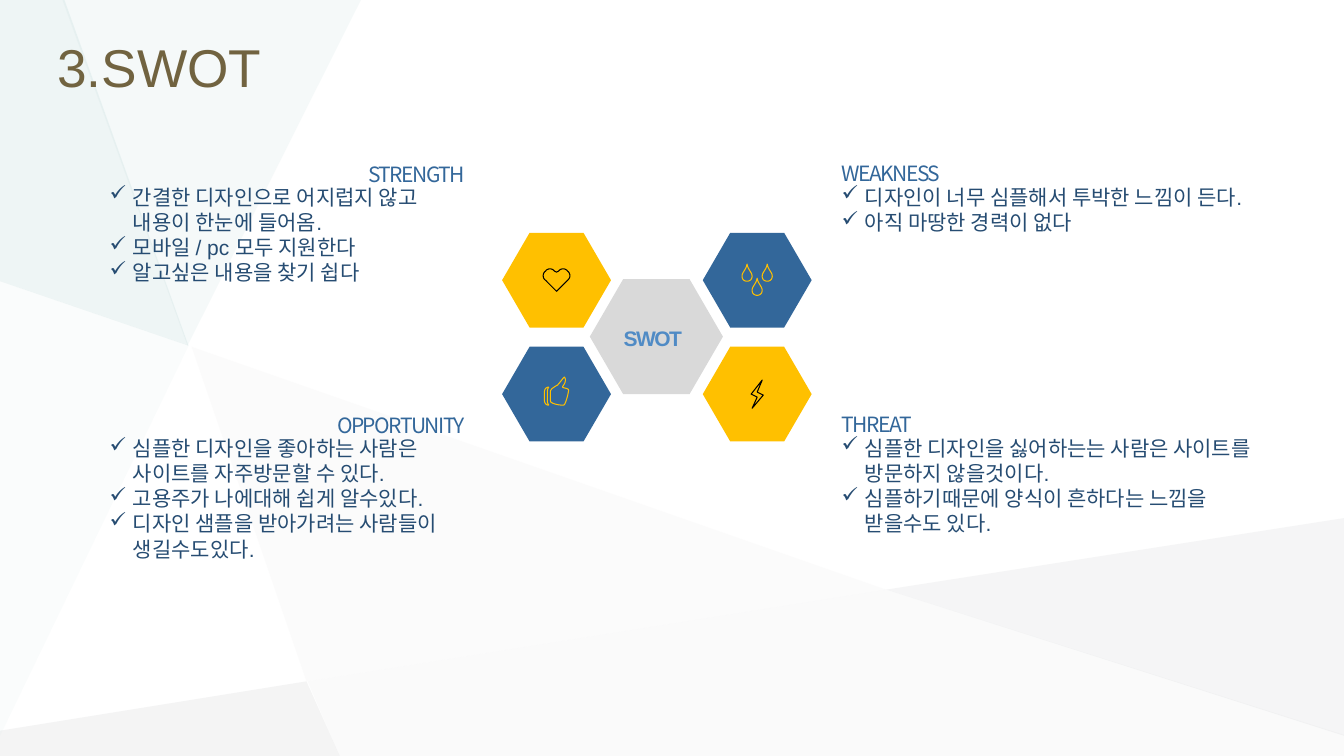
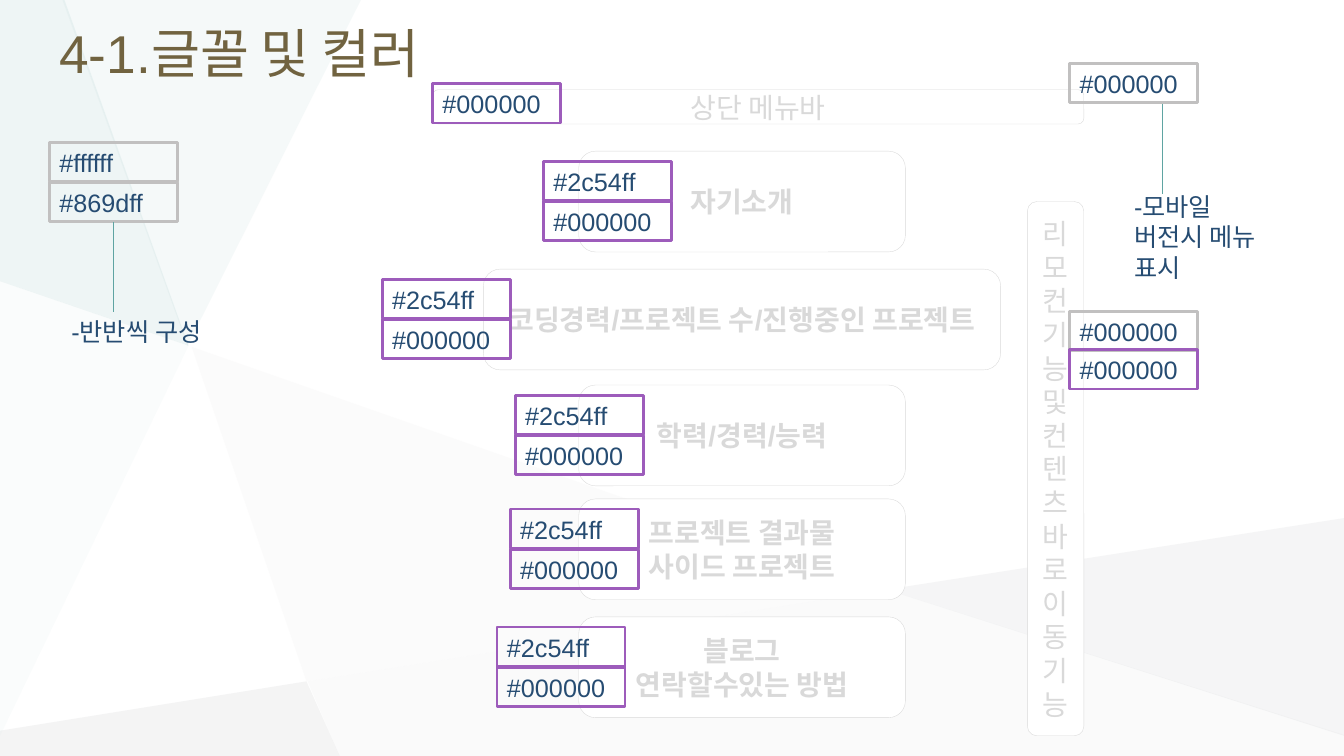
from lxml.etree import SubElement
from pptx import Presentation
from pptx.dml.color import RGBColor
from pptx.enum.shapes import MSO_CONNECTOR, MSO_SHAPE
from pptx.enum.text import MSO_ANCHOR, PP_ALIGN
from pptx.oxml.ns import qn
from pptx.util import Inches, Pt

LATIN_FONT = "Arial"
KOREAN_FONT = "Noto Sans CJK KR"

WHITE = RGBColor(0xFF, 0xFF, 0xFF)
BLACK = RGBColor(0, 0, 0)
BROWN = RGBColor(0x71, 0x63, 0x40)
NAVY = RGBColor(0x26, 0x4C, 0x72)
BLUE = RGBColor(0x33, 0x67, 0x9A)
LIGHT_BLUE = RGBColor(0x50, 0x8B, 0xC5)
YELLOW = RGBColor(0xFF, 0xC0, 0x00)
PALE_GRAY = RGBColor(0xD9, 0xD9, 0xD9)
FRAME_GRAY = RGBColor(0xC1, 0xC0, 0xC0)
PURPLE = RGBColor(0x9D, 0x5C, 0xBB)
TEAL = RGBColor(0x5F, 0xA4, 0xA2)
FACET_WARM = RGBColor(0xF3, 0xF2, 0xF2)
FACET_GRAY = RGBColor(0xB6, 0xB8, 0xBA)
FACET_SILVER = RGBColor(0xC6, 0xC8, 0xCA)
FACET_MIST = RGBColor(0xE0, 0xED, 0xED)
FACET_MINT = RGBColor(0xC1, 0xDB, 0xDB)

FACETS = [
    (FACET_WARM, 26, [(1.9, 3.44), (3.04, 6.76), (8.79, 5.85)]),
    (FACET_GRAY, 15, [(3.04, 6.76), (0, 7.25), (0, 7.5), (3.37, 7.5)]),
    (FACET_MIST, 31, [(3.58, 0), (0.62, 0), (1.86, 3.43)]),
    (FACET_SILVER, 17, [(13.33, 5.14), (8.79, 5.85), (13.33, 7.3)]),
    (FACET_GRAY, 6, [(8.79, 5.85), (3.05, 6.76), (3.37, 7.5), (13.33, 7.5), (13.33, 7.29)]),
    (FACET_MINT, 27, [(0.64, 0), (0, 0), (0, 2.79), (1.87, 3.43)]),
    (FACET_MINT, 8, [(0, 2.79), (0, 7.3), (1.87, 3.43)]),
]

HEART = [
    [(5.63, 2.69), (5.61, 2.66, 5.56, 2.66, 5.54, 2.69), (5.52, 2.7), (5.5, 2.69),
     (5.48, 2.66, 5.43, 2.66, 5.41, 2.69), (5.38, 2.71, 5.38, 2.76, 5.41, 2.78),
     (5.52, 2.89), (5.63, 2.78), (5.66, 2.76, 5.66, 2.71, 5.63, 2.69)],
]
BOLT = [
    [(7.46, 4.05), (7.51, 3.94), (7.45, 3.91), (7.56, 3.77), (7.51, 3.89), (7.57, 3.92)],
]
THUMB = [
    [(5.58, 3.84), (5.57, 3.84, 5.63, 3.79, 5.6, 3.74), (5.59, 3.74, 5.56, 3.79, 5.53, 3.82),
     (5.51, 3.83, 5.46, 3.86, 5.46, 3.88), (5.46, 3.98), (5.46, 4, 5.53, 4.02, 5.59, 4.02),
     (5.61, 4.02, 5.64, 3.89, 5.64, 3.87), (5.64, 3.85, 5.58, 3.85, 5.58, 3.84)],
    [(5.44, 3.84), (5.43, 3.84, 5.4, 3.85, 5.4, 3.89), (5.4, 3.97),
     (5.4, 4.01, 5.43, 4.02, 5.44, 4.02), (5.45, 4.02, 5.43, 4.01, 5.43, 3.98),
     (5.43, 3.88), (5.43, 3.85, 5.45, 3.84, 5.44, 3.84)],
]


def drop(left, top):
    middle, right, low, bottom = left + 0.05, left + 0.1, top + 0.12, top + 0.17
    return [
        (middle, top),
        (middle - 0.01, top + 0.06, left, top + 0.08, left, low),
        (left, top + 0.15, left + 0.02, bottom, middle, bottom),
        (middle + 0.03, bottom, right, top + 0.15, right, low),
        (right, top + 0.08, middle + 0.01, top + 0.06, middle, top),
    ]


DROPS = [drop(7.36, 2.62), drop(7.56, 2.62), drop(7.46, 2.76)]


def flatten(segments, steps=8):
    points = [segments[0]]
    for segment in segments[1:]:
        if len(segment) == 2:
            points.append(segment)
            continue
        controls = [points[-1], segment[:2], segment[2:4], segment[4:]]
        for step in range(1, steps + 1):
            t = step / steps
            weights = ((1 - t) ** 3, 3 * t * (1 - t) ** 2, 3 * t * t * (1 - t), t ** 3)
            points.append(tuple(
                sum(weight * control[axis] for weight, control in zip(weights, controls))
                for axis in (0, 1)
            ))
    return points


def paint(shape, fill=None, line=None, width=0):
    shape.shadow.inherit = False
    if fill is None:
        shape.fill.background()
    else:
        shape.fill.solid()
        shape.fill.fore_color.rgb = fill
    if line is None:
        shape.line.fill.background()
    else:
        shape.line.color.rgb = line
        shape.line.width = Pt(width)


def add_outline(slide, contours, fill, line=None):
    builder = None
    for contour in contours:
        points = [(Inches(x), Inches(y)) for x, y in flatten(contour)]
        if builder is None:
            builder = slide.shapes.build_freeform(*points[0], scale=1.0)
        else:
            builder.move_to(*points[0])
        builder.add_line_segments(points[1:], close=True)
    shape = builder.convert_to_shape()
    paint(shape, fill, line)
    return shape


def add_background(slide, layout):
    for number, (color, opacity, points) in enumerate(FACETS):
        element = add_outline(slide, [points], color)._element
        color_element = element.spPr.find(qn("a:solidFill")).find(qn("a:srgbClr"))
        SubElement(color_element, qn("a:alpha")).set("val", str(opacity * 1000))
        element.nvSpPr.cNvPr.set("id", str(100 + number))
        layout.shapes._spTree.append(element)


def write(shape, lines, size, color, font=LATIN_FONT, bold=False, align=PP_ALIGN.LEFT,
          anchor=MSO_ANCHOR.TOP, tracking=None, wrap=True):
    frame = shape.text_frame
    frame.text = "\n".join(lines)
    frame.word_wrap = wrap
    frame.vertical_anchor = anchor
    for paragraph in frame.paragraphs:
        paragraph.alignment = align
        for run in paragraph.runs:
            run.font.name = font
            run.font.size = Pt(size)
            run.font.bold = bold
            run.font.color.rgb = color
            properties = run.font._element
            SubElement(properties, qn("a:ea")).set("typeface", KOREAN_FONT)
            if tracking is not None:
                properties.set("spc", str(round(tracking * 100)))


def add_text(slide, box, lines, size, color, **style):
    shape = slide.shapes.add_textbox(*map(Inches, box))
    write(shape, lines, size, color, **style)
    return shape


def add_title(slide, left, top, title):
    add_text(slide, (left, top, 12.36, 1.03), [title], 38, BROWN, anchor=MSO_ANCHOR.MIDDLE)


def add_checklist(slide, box, items):
    shape = add_text(slide, box, items, 15, NAVY)
    for paragraph in shape.text_frame.paragraphs:
        properties = paragraph._p.get_or_add_pPr()
        properties.set("marL", str(Inches(0.23)))
        properties.set("indent", str(Inches(-0.23)))
        bullet_color = SubElement(properties, qn("a:buClr"))
        SubElement(bullet_color, qn("a:srgbClr")).set("val", str(NAVY))
        SubElement(properties, qn("a:buChar")).set("char", "✓")


def add_heading(slide, left, top, heading, align):
    shape = add_text(slide, (left, top, 1.55, 0.47), [heading], 15, BLUE,
                     font=KOREAN_FONT, align=align, tracking=-1.1)
    shape.text_frame.paragraphs[0].line_spacing = 1.5


def add_hexagon(slide, box, fill):
    shape = slide.shapes.add_shape(MSO_SHAPE.HEXAGON, *map(Inches, box))
    shape.adjustments[0] = 0.29
    paint(shape, fill)


def add_card(slide, box, lines, bold=True):
    shape = slide.shapes.add_shape(MSO_SHAPE.ROUNDED_RECTANGLE, *map(Inches, box))
    paint(shape, WHITE, PALE_GRAY, 0.25)
    write(shape, lines, 20, PALE_GRAY, bold=bold, align=PP_ALIGN.CENTER,
          anchor=MSO_ANCHOR.MIDDLE)


def add_swatches(slide, left, top, line, codes):
    for row, code in enumerate(codes):
        shape = slide.shapes.add_shape(
            MSO_SHAPE.RECTANGLE, Inches(left), Inches(top + row * 0.4), Inches(1.27), Inches(0.39))
        paint(shape, None, line, 2)
        write(shape, [code], 18, NAVY)
    return shape


def add_leader(slide, x, top, bottom, source=None):
    connector = slide.shapes.add_connector(
        MSO_CONNECTOR.STRAIGHT, Inches(x), Inches(top), Inches(x), Inches(bottom))
    if source is not None:
        connector.begin_connect(source, 2)
        connector.end_x = connector.begin_x
    connector.line.color.rgb = TEAL
    connector.line.width = Pt(0.75)
    SubElement(connector._element.spPr, qn("a:effectLst"))


def build_swot(slide):
    add_title(slide, 0.47, 0.14, "3.SWOT")
    left, right = (0.99, 3.84), (8.25, 4.3)
    quadrants = [
        ("STRENGTH", left, 1.78, 1.1, [
            "간결한 디자인으로 어지럽지 않고 내용이 한눈에 들어옴.",
            "모바일 / pc 모두 지원한다",
            "알고싶은 내용을 찾기 쉽다"]),
        ("OPPORTUNITY", left, 4.27, 1.35, [
            "심플한 디자인을 좋아하는 사람은 사이트를 자주방문할 수 있다.",
            "고용주가 나에대해 쉽게 알수있다.",
            "디자인 샘플을 받아가려는 사람들이 생길수도있다."]),
        ("WEAKNESS", right, 1.78, 0.6, [
            "디자인이 너무 심플해서 투박한 느낌이 든다.",
            "아직 마땅한 경력이 없다"]),
        ("THREAT", right, 4.27, 1.1, [
            "심플한 디자인을 싫어하는는 사람은 사이트를 방문하지 않을것이다.",
            "심플하기때문에 양식이 흔하다는 느낌을 받을수도 있다."]),
    ]
    for heading, column, top, height, items in quadrants:
        add_checklist(slide, (column[0], top, column[1], height), items)
        if column is left:
            add_heading(slide, 3.16, top - 0.35, heading, PP_ALIGN.RIGHT)
        else:
            add_heading(slide, column[0], top - 0.36, heading, PP_ALIGN.LEFT)

    hexagons = [
        (6.97, 2.31, BLUE, DROPS, YELLOW),
        (4.98, 3.44, BLUE, THUMB, YELLOW),
        (6.97, 3.44, YELLOW, BOLT, BLACK),
        (4.98, 2.31, YELLOW, HEART, BLACK),
    ]
    for x, y, fill, icon, line in hexagons:
        add_hexagon(slide, (x, y, 1.08, 0.94), fill)
        add_outline(slide, icon, fill, line)
    add_hexagon(slide, (5.85, 2.77, 1.32, 1.14), PALE_GRAY)
    add_text(slide, (6.08, 3.18, 0.79, 0.34), ["SWOT"], 15, LIGHT_BLUE, bold=True,
             align=PP_ALIGN.CENTER, tracking=-1.1, wrap=False)


def build_fonts_and_colors(slide):
    add_title(slide, 0.49, 0, "4-1.글꼴 및 컬러")
    add_card(slide, (4.29, 0.89, 6.46, 0.34), ["상단 메뉴바"], bold=False)
    add_card(slide, (10.19, 2, 0.56, 5.3), ["리모컨기능 및 컨텐츠 바로이동기능"], bold=False)
    sections = [
        (1.5, 3.24, 5.39, ["자기소개"]),
        (2.67, 5.13, 3.79, ["코딩경력/프로젝트 수/진행중인 프로젝트"]),
        (3.82, 3.24, 5.11, ["학력/경력/능력"]),
        (4.95, 3.24, 5.06, ["프로젝트 결과물", "사이드 프로젝트"]),
        (6.12, 3.24, 4.93, ["블로그", "연락할수있는 방법"]),
    ]
    for top, width, swatch_left, lines in sections:
        add_card(slide, (7.36 - width / 2, top, width, 1), lines)
        add_swatches(slide, swatch_left, top + 0.1, PURPLE, ["#2c54ff", "#000000"])

    halves = add_swatches(slide, 0.49, 1.41, FRAME_GRAY, ["#ffffff", "#869dff"])
    add_swatches(slide, 10.61, 3.09, FRAME_GRAY, ["#000000"])
    add_swatches(slide, 10.61, 3.47, PURPLE, ["#000000"])
    add_swatches(slide, 10.61, 0.63, FRAME_GRAY, ["#000000"])
    add_swatches(slide, 4.29, 0.83, PURPLE, ["#000000"])

    add_leader(slide, 1.12, 2.2, 3.1, halves)
    add_text(slide, (0.61, 3.09, 1.69, 0.4), ["-반반씩 구성"], 18, NAVY)
    add_leader(slide, 11.53, 1.03, 1.92)
    add_text(slide, (11.15, 1.85, 1.69, 0.7), ["-모바일 버전시 메뉴 표시"], 18, NAVY)


def main():
    presentation = Presentation()
    presentation.slide_width = Inches(13.33)
    presentation.slide_height = Inches(7.5)
    layout = presentation.slide_layouts[6]
    swot, fonts_and_colors = [presentation.slides.add_slide(layout) for _ in range(2)]
    add_background(swot, layout)
    build_swot(swot)
    build_fonts_and_colors(fonts_and_colors)
    presentation.save("out.pptx")


if __name__ == "__main__":
    main()
